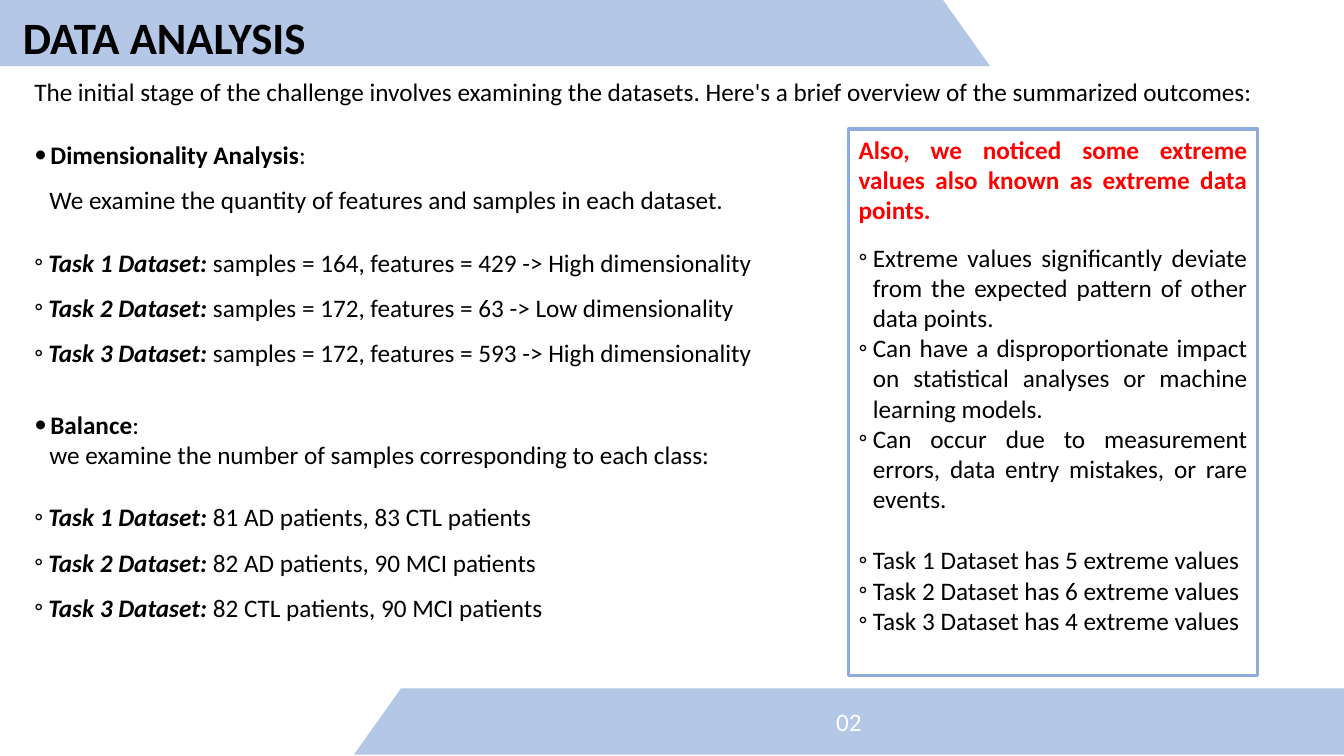
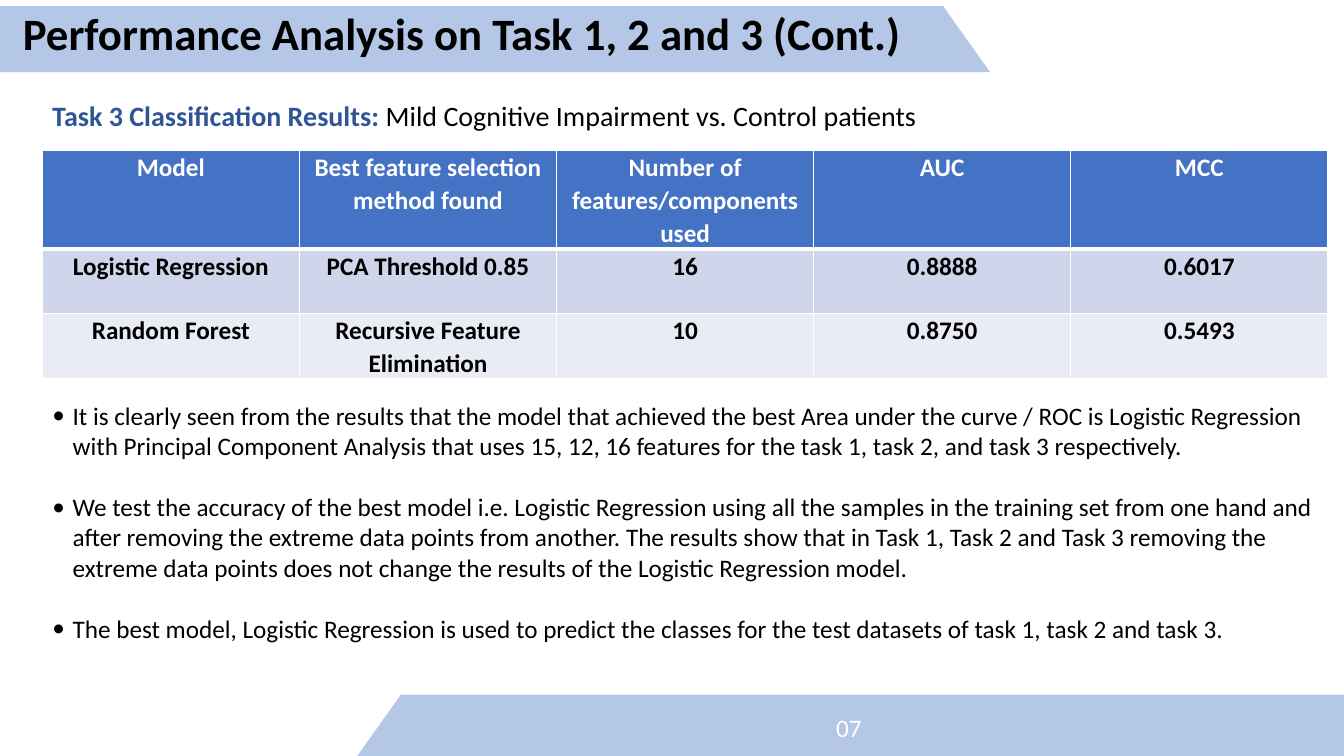
from lxml.etree import SubElement
from pptx import Presentation
from pptx.dml.color import RGBColor
from pptx.enum.shapes import MSO_SHAPE
from pptx.enum.text import MSO_ANCHOR, MSO_AUTO_SIZE, PP_ALIGN
from pptx.oxml.ns import qn
from pptx.util import Emu, Inches, Pt

FONT = "Calibri"
BLACK, WHITE, RED = "000000", "FFFFFF", "FF0000"
BAND, FRAME, HEADING = "B4C7E7", "8FAADC", "2F5597"
TABLE_HEADER, TABLE_ROWS = "4472C4", ("CFD5EA", "E9EBF5")
LEFT, CENTER, JUSTIFY = PP_ALIGN.LEFT, PP_ALIGN.CENTER, PP_ALIGN.JUSTIFY

deck = Presentation()
deck.slide_width, deck.slide_height = Inches(13.33), Inches(7.5)
BAND_WIDTH, BAND_HEIGHT, BAND_SLANT = 73.67, 8.75, 3.5


def area(left, top, width, height):
    """Turn percentages of the slide's size into a box of lengths."""
    across, down = deck.slide_width / 100, deck.slide_height / 100
    return [Emu(round(share * unit)) for share, unit in
            zip((left, top, width, height), (across, down, across, down))]


def paint(target, color):
    """Give a fill, or the fill of a line, a solid hex colour."""
    target.solid()
    target.fore_color.rgb = RGBColor.from_string(color)


def set_bullet(paragraph, bullet, indent):
    """Set a hanging bullet, or a plain indent when there is no bullet."""
    props = paragraph._p.get_or_add_pPr()
    props.set("marL", str(Inches(indent)))
    props.set("indent", str(-Inches(indent) if bullet else 0))
    if bullet:
        SubElement(props, qn("a:buFont"), typeface=FONT)
        SubElement(props, qn("a:buChar"), char=bullet)
    else:
        SubElement(props, qn("a:buNone"))


def write(frame, text, size=18, color=BLACK, style="", align=JUSTIFY,
          spacing=1.0, before=0, after=0, bullet=None, indent=0):
    """Add a paragraph; text is a string or a list of (text, style, color)."""
    last = frame.paragraphs[-1]
    paragraph = frame.add_paragraph() if last.runs else last
    paragraph.alignment, paragraph.line_spacing = align, spacing
    paragraph.space_before, paragraph.space_after = Pt(before), Pt(after)
    set_bullet(paragraph, bullet, indent)
    parts = [(text, style, color)] if isinstance(text, str) else text
    for words, look, ink in parts:
        run = paragraph.add_run()
        run.text = words
        font = run.font
        font.name, font.size = FONT, Pt(size)
        font.bold, font.italic = "b" in look, "i" in look
        paint(font.fill, ink)


def prepare(shape, box=None, anchor=MSO_ANCHOR.TOP):
    """Place a text holder and return its wrapping text frame."""
    if box:
        shape.left, shape.top, shape.width, shape.height = box
    frame = shape.text_frame
    frame.word_wrap, frame.auto_size = True, MSO_AUTO_SIZE.NONE
    frame.vertical_anchor = anchor
    return frame


def add_band(slide, box, slant_left, slant_right):
    """Draw a band behind the text, its ends slanting towards the bottom."""
    left, top, width, height = box
    right, bottom = left + width, top + height
    builder = slide.shapes.build_freeform(left + slant_left, top)
    builder.add_line_segments([(right - slant_right, top), (right, bottom),
                               (left, bottom)])
    band = builder.convert_to_shape()
    band.shadow.inherit = False
    paint(band.fill, BAND)
    band.line.fill.background()
    slide.shapes.element.insert(2, band.element)
    return band


def add_page(title, number, title_top, band_shift):
    """Start a slide with its title, header band and numbered footer band."""
    slide = deck.slides.add_slide(deck.slide_layouts[1])
    heading = prepare(slide.shapes.title, area(0.95, title_top, BAND_WIDTH, 8.53))
    write(heading, title, size=32, style="b", align=LEFT)
    slant = area(BAND_SLANT, 0, 0, 0)[0]
    add_band(slide, area(0, band_shift, BAND_WIDTH, BAND_HEIGHT), 0, slant)
    footer = add_band(slide, area(100 - BAND_WIDTH, 91.07 + band_shift,
                                  BAND_WIDTH, BAND_HEIGHT), slant, 0)
    write(prepare(footer, anchor=MSO_ANCHOR.MIDDLE), number, color=WHITE,
          align=CENTER)
    return slide


def write_datasets(frame, findings):
    """List one finding for each task's dataset."""
    for task, finding in enumerate(findings, 1):
        write(frame, [(f"Task {task} Dataset:", "bi", BLACK),
                      (f" {finding}", "", BLACK)], spacing=1.5,
              before=12.2 if task == 1 else 0, bullet="◦", indent=0.14)


def add_overview(slide, box):
    """Fill the body with the dimensionality and balance of the datasets."""
    body = prepare(slide.placeholders[1], box)
    write(body, "The initial stage of the challenge involves examining the "
          "datasets. Here's a brief overview of the summarized outcomes:")
    sections = [
        ("Dimensionality Analysis", 1.5, 12.2,
         "We examine the quantity of features and samples in each dataset.",
         ["samples = 164, features = 429 -> High dimensionality",
          "samples = 172, features = 63 -> Low dimensionality",
          "samples = 172, features = 593 -> High dimensionality"]),
        ("Balance", 1.0, 29.3,
         "we examine the number of samples corresponding to each class:",
         ["81 AD patients, 83 CTL patients",
          "82 AD patients, 90 MCI patients",
          "82 CTL patients, 90 MCI patients"]),
    ]
    for topic, spacing, before, aim, findings in sections:
        write(body, [(topic, "b", BLACK), (":", "", BLACK)], spacing=spacing,
              before=before, bullet="•", indent=0.16)
        write(body, aim, spacing=spacing, indent=0.15)
        write_datasets(body, findings)


def add_extremes(slide, box):
    """Draw the framed panel about extreme values."""
    panel = slide.shapes.add_shape(MSO_SHAPE.RECTANGLE, *box)
    panel.shadow.inherit = False
    panel.fill.background()
    paint(panel.line.fill, FRAME)
    panel.line.width = Pt(2.25)
    frame = prepare(panel)
    write(frame, "Also, we noticed some extreme values also known as extreme "
          "data points.", color=RED, style="b", after=12.2)
    traits = ["Extreme values significantly deviate from the expected pattern "
              "of other data points.",
              "Can have a disproportionate impact on statistical analyses or "
              "machine learning models.",
              "Can occur due to measurement errors, data entry mistakes, or "
              "rare events."]
    counts = [f"Task {task} Dataset has {count} extreme values"
              for task, count in enumerate((5, 6, 4), 1)]
    for entry in traits + counts:
        write(frame, entry, before=22 if entry == counts[0] else 0,
              bullet="◦", indent=0.14)


def add_borders(cell, bottom):
    """Draw white cell borders, the bottom one in its own width."""
    props = cell._tc.get_or_add_tcPr()
    for side, width in (("L", 1), ("R", 1), ("T", 1), ("B", bottom)):
        line = SubElement(props, qn(f"a:ln{side}"), w=str(Pt(width)))
        fill = SubElement(line, qn("a:solidFill"))
        SubElement(fill, qn("a:srgbClr"), val=WHITE)


def add_results(slide, box, rows, row_shares):
    """Add the table of results, its first row being the header."""
    table = slide.shapes.add_table(len(rows), len(rows[0]), *box).table
    for r, (entries, share) in enumerate(zip(rows, row_shares)):
        table.rows[r].height = round(box[3] * share)
        for c, entry in enumerate(entries):
            cell = table.cell(r, c)
            cell.margin_left = cell.margin_right = 0
            cell.margin_top = cell.margin_bottom = 0
            add_borders(cell, bottom=1 if r else 3)
            paint(cell.fill, TABLE_ROWS[(r - 1) % 2] if r else TABLE_HEADER)
            write(cell.text_frame, entry, color=BLACK if r else WHITE,
                  style="b", align=CENTER, spacing=1.07)


def add_conclusions(slide, box, conclusions):
    """Fill the body with bulleted conclusions."""
    body = prepare(slide.placeholders[1], box)
    for conclusion in conclusions:
        write(body, conclusion, align=LEFT, bullet="•", indent=0.2,
              before=0 if conclusion == conclusions[0] else 22)


def build_data_analysis():
    """Build the slide on the datasets."""
    slide = add_page("DATA ANALYSIS", "02", title_top=0.67, band_shift=0)
    add_overview(slide, area(1.8, 9.47, 96.4, 73.47))
    add_extremes(slide, area(63.15, 17.07, 30.4, 72.27))


def build_performance():
    """Build the slide on the results of task 3."""
    slide = add_page("Performance Analysis on Task 1, 2 and 3 (Cont.)", "07",
                     title_top=0.13, band_shift=0.8)
    caption = slide.shapes.add_textbox(*area(3.15, 12, 94.7, 6))
    write(prepare(caption),
          [("Task 3 Classification Results: ", "b", HEADING),
           ("Mild Cognitive Impairment vs. Control patients", "", BLACK)],
          size=20, spacing=1.07, after=8)
    add_results(slide, area(3.15, 19.87, 95.65, 29.33), [
        ("Model", "Best feature selection method found",
         "Number of features/components used", "AUC", "MCC"),
        ("Logistic Regression", "PCA Threshold 0.85", "16", "0.8888", "0.6017"),
        ("Random Forest", "Recursive Feature Elimination", "10", "0.8750",
         "0.5493"),
    ], row_shares=(0.42, 0.29, 0.29))
    add_conclusions(slide, area(3.15, 52.27, 95.65, 33.6), [
        "It is clearly seen from the results that the model that achieved the "
        "best Area under the curve / ROC is Logistic Regression with Principal "
        "Component Analysis that uses 15, 12, 16 features for the task 1, "
        "task 2, and task 3 respectively.",
        "We test the accuracy of the best model i.e. Logistic Regression using "
        "all the samples in the training set from one hand and after removing "
        "the extreme data points from another. The results show that in Task 1, "
        "Task 2 and Task 3 removing the extreme data points does not change the "
        "results of the Logistic Regression model.",
        "The best model, Logistic Regression is used to predict the classes for "
        "the test datasets of task 1, task 2 and task 3.",
    ])


build_data_analysis()
build_performance()
deck.save("out.pptx")
